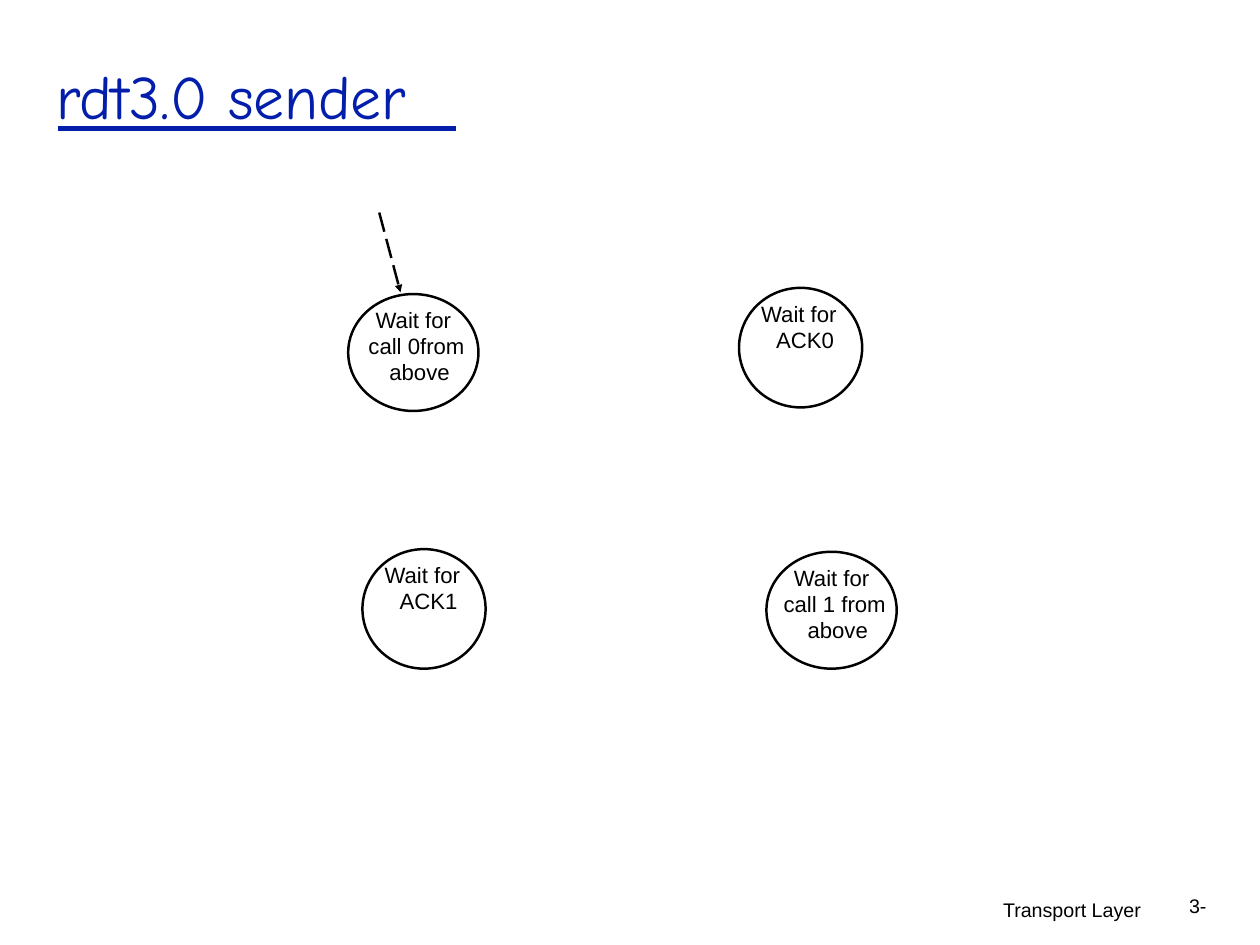
from pptx import Presentation
from pptx.dml.color import RGBColor
from pptx.enum.dml import MSO_LINE_DASH_STYLE as Dash
from pptx.enum.shapes import MSO_CONNECTOR as Connector, MSO_SHAPE as Shape
from pptx.enum.text import MSO_ANCHOR as Anchor, MSO_AUTO_SIZE as AutoSize, PP_ALIGN as Align
from pptx.oxml.ns import qn
from pptx.util import Inches, Pt
from lxml.etree import SubElement

BLUE, BLACK = "021EAA", "000000"


def color(hex_value):
    return RGBColor.from_string(hex_value)


def box_of(*lengths):
    return [Inches(length) for length in lengths]


def prepare_frame(frame, inset_top=0):
    frame.word_wrap = True
    frame.auto_size = AutoSize.NONE
    frame.vertical_anchor = Anchor.TOP
    frame.margin_left = frame.margin_right = frame.margin_bottom = 0
    frame.margin_top = Inches(inset_top)
    return frame.paragraphs[0]


def add_run(paragraph, words, size, font="Arial", hex_value=BLACK):
    run = paragraph.add_run()
    run.text = words
    run.font.size = Pt(size)
    run.font.name = font
    run.font.color.rgb = color(hex_value)


def add_line(slide, start, end, hex_value, weight):
    line = slide.shapes.add_connector(Connector.STRAIGHT, *box_of(*start, *end))
    line.line.color.rgb = color(hex_value)
    line.line.width = Pt(weight)
    SubElement(line._element.spPr, qn("a:effectLst"))
    return line


def add_title(slide, left, top, width, height):
    title = slide.shapes.title
    title.left, title.top, title.width, title.height = box_of(left, top, width, height)
    heading = prepare_frame(title.text_frame, 0.01)
    heading.alignment = Align.LEFT
    heading.space_before = Pt(1)
    add_run(heading, "rdt3.0 sender", 50, "Comic Neue", BLUE)
    # Rule under the heading
    rule_y = top + 0.81
    add_line(slide, (left + 0.01, rule_y), (left + 4.51, rule_y), BLUE, 4.27)


def add_state(slide, left, top, width, height, label_lines):
    circle = slide.shapes.add_shape(Shape.OVAL, *box_of(left, top, width, height))
    circle.shadow.inherit = False
    circle.fill.background()
    circle.line.color.rgb = color(BLACK)
    circle.line.width = Pt(2)

    # Two-line labels hang from the left; three-line labels are centred
    hanging = len(label_lines) == 2
    inset, label_width = (0.24, 0.95) if hanging else (0.18, 1.18)
    label = slide.shapes.add_textbox(
        *box_of(left + inset, top + 0.12, label_width, 0.31 * len(label_lines)))
    caption = prepare_frame(label.text_frame, 0.03)
    caption.line_spacing = Pt(21)
    caption.space_before = Pt(2.2)
    if hanging:
        properties = caption._p.get_or_add_pPr()
        properties.set("marL", str(Inches(0.18)))
        properties.set("indent", str(Inches(-0.17)))
    else:
        caption.alignment = Align.CENTER
    for index, words in enumerate(label_lines):
        if index:
            caption.add_line_break()
        add_run(caption, words, 18)


def add_start_arrow(slide, start, end):
    arrow = add_line(slide, start, end, BLACK, 2)
    arrow.line.dash_style = Dash.LONG_DASH
    SubElement(arrow.line._get_or_add_ln(), qn("a:tailEnd"), type="triangle")


def add_footer(slide, left, top, width, height):
    # Chapter name, then the page prefix at the right edge
    page_width = 0.24
    parts = [("Transport Layer", left, top + 0.04, 1.65),
             ("3-", left + width - page_width, top, page_width)]
    for words, part_left, part_top, part_width in parts:
        part = slide.shapes.add_textbox(*box_of(part_left, part_top, part_width, height))
        line = prepare_frame(part.text_frame)
        line.line_spacing = Pt(18.7)
        add_run(line, words, 16)


def main():
    deck = Presentation()
    deck.slide_width, deck.slide_height = box_of(14.22, 10.67)
    slide = deck.slides.add_slide(deck.slide_layouts[5])

    add_title(slide, 0.64, 0.64, 4.53, 0.86)

    # Sender states
    call_size, ack_size = (1.47, 1.32), (1.39, 1.35)
    add_state(slide, 3.93, 3.32, *call_size, ["Wait for ", "call 0from", " above"])
    add_state(slide, 8.34, 3.25, *ack_size, ["Wait for ", "ACK0"])
    add_state(slide, 8.65, 6.23, *call_size, ["Wait for ", "call 1 from", " above"])
    add_state(slide, 4.09, 6.2, *ack_size, ["Wait for ", "ACK1"])
    add_start_arrow(slide, (4.28, 2.4), (4.52, 3.3))

    add_footer(slide, 11.32, 10.1, 2.34, 0.28)
    deck.save("out.pptx")


if __name__ == "__main__":
    main()
